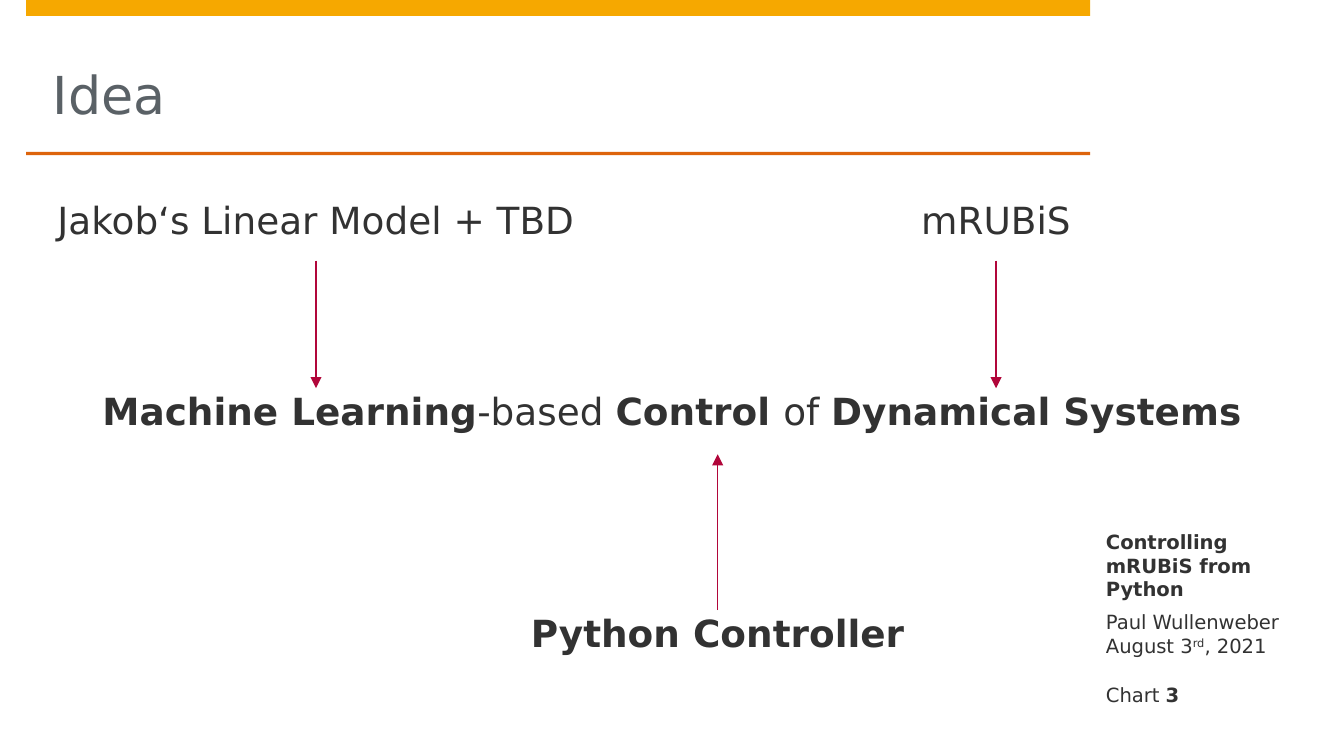
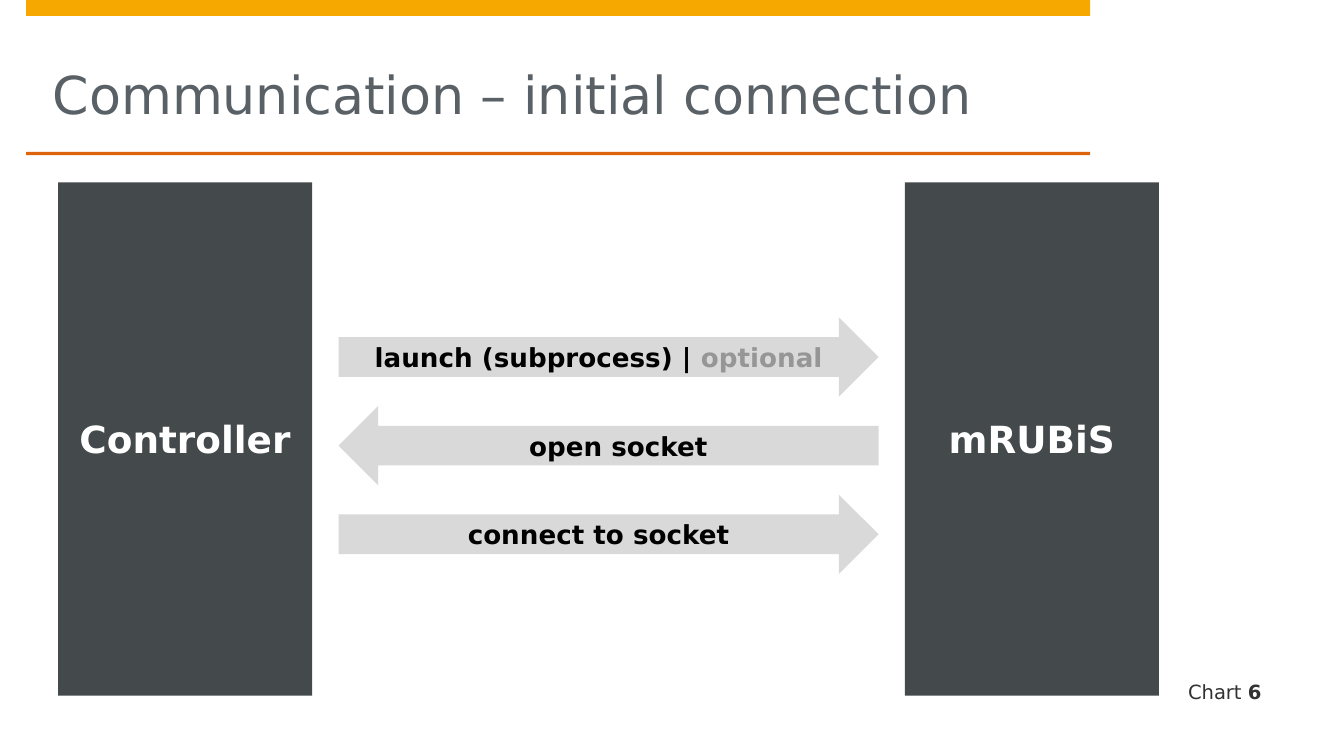
"""Build two slides on controlling mRUBiS from Python."""
from dataclasses import dataclass

import pptx
import pptx.dml.color
import pptx.enum.shapes
import pptx.enum.text
import pptx.oxml
import pptx.oxml.ns
import pptx.util

Pt = pptx.util.Pt
Shapes = pptx.enum.shapes.MSO_SHAPE
Anchor = pptx.enum.text.MSO_ANCHOR
Align = pptx.enum.text.PP_ALIGN

FONT = "DejaVu Sans"
AMBER, ORANGE, CRIMSON = "F6A800", "DD640C", "B1063A"
TITLE_GREY, INK, SLATE = "5A6166", "323232", "44494C"
SILVER, MUTED, BLACK, WHITE = "D9D9D9", "969696", "000000", "FFFFFF"
SIDE_WIDTH = 121.7
SIDE_INSETS = (8.5, 0, 0, 0)
SHAPE_INSETS = (8.5, 5.7, 8.5, 5.7)
NO_INSETS = (0, 0, 0, 0)


@dataclass(frozen=True)
class Piece:
    """A run of text with its emphasis."""
    text: str
    bold: bool = False
    color: str = INK
    raised: bool = False


@dataclass(frozen=True)
class Style:
    """The look of a block of text."""
    size: float
    insets: tuple = NO_INSETS
    anchor: Anchor = Anchor.TOP
    align: Align = Align.LEFT
    gap: float = 0
    wrap: bool = True


@dataclass(frozen=True)
class Area:
    """A rectangle in points."""
    left: float
    top: float
    width: float
    height: float

    def lengths(self) -> list:
        """Return the four lengths for a new shape."""
        return [Pt(value) for value in (self.left, self.top, self.width, self.height)]


TITLE = Style(28, (0, 0, 0, 14.2), Anchor.BOTTOM)
LABEL = Style(20, align=Align.CENTER, gap=3, wrap=False)
STATEMENT = Style(20, (0, 5.7, 0, 0), align=Align.CENTER, gap=3)
SIDE_TOP = Style(10.5, SIDE_INSETS)
SIDE_BOTTOM = Style(10.5, SIDE_INSETS, Anchor.BOTTOM)
COMPONENT = Style(20, SHAPE_INSETS, Anchor.MIDDLE, Align.CENTER, 3)
MESSAGE = Style(14, SHAPE_INSETS, Anchor.MIDDLE, Align.CENTER, 3)


def rgb(color: str) -> pptx.dml.color.RGBColor:
    """Turn a hex string into a colour."""
    return pptx.dml.color.RGBColor.from_string(color)


def write(frame, style: Style, *lines: list[Piece]) -> None:
    """Fill a text frame with one paragraph for each line."""
    frame.word_wrap = style.wrap
    frame.auto_size = pptx.enum.text.MSO_AUTO_SIZE.NONE
    frame.vertical_anchor = style.anchor
    (frame.margin_left, frame.margin_top,
     frame.margin_right, frame.margin_bottom) = map(Pt, style.insets)
    for index, line in enumerate(lines):
        para = frame.add_paragraph() if index else frame.paragraphs[0]
        para.alignment = style.align
        para.space_before = para.space_after = Pt(style.gap)
        for piece in line:
            span = para.add_run()
            span.text = piece.text
            span.font.name = FONT
            span.font.size = Pt(style.size)
            span.font.bold = piece.bold
            span.font.color.rgb = rgb(piece.color)
            if piece.raised:
                span.font._element.set("baseline", "30000")


def add_text(page, area: Area, style: Style, *lines: list[Piece]) -> None:
    """Add a text box."""
    write(page.shapes.add_textbox(*area.lengths()).text_frame, style, *lines)


def add_block(page, kind: Shapes, area: Area, color: str):
    """Add a plain filled shape."""
    block = page.shapes.add_shape(kind, *area.lengths())
    block.shadow.inherit = False
    block.fill.solid()
    block.fill.fore_color.rgb = rgb(color)
    block.line.fill.background()
    return block


def add_arrow(page, x: float, start: float, end: float) -> None:
    """Add a vertical arrow that points at its end."""
    arrow = page.shapes.add_connector(
        pptx.enum.shapes.MSO_CONNECTOR.STRAIGHT, Pt(x), Pt(start), Pt(x), Pt(end))
    arrow.line.color.rgb = rgb(CRIMSON)
    arrow.line.width = Pt(0.75)
    head = pptx.oxml.parse_xml(
        f'<a:tailEnd {pptx.oxml.ns.nsdecls("a")} type="triangle"/>')
    arrow.line._get_or_add_ln().append(head)
    arrow._element.spPr.append(
        pptx.oxml.parse_xml(f'<a:effectLst {pptx.oxml.ns.nsdecls("a")}/>'))


def add_page(deck, title: str, number: str, number_left: float, number_top: float):
    """Add a slide with its band, rule, title and chart number."""
    page = deck.slides.add_slide(deck.slide_layouts.get_by_name("Title Only"))
    add_block(page, Shapes.RECTANGLE, Area(14, 0, 570, 8.5), AMBER)
    add_block(page, Shapes.RECTANGLE, Area(14, 81.3, 570, 1.9), ORANGE)
    heading = page.shapes.title
    heading.left, heading.top, heading.width, heading.height = Area(
        28.3, 8.5, 541.4, 72.8).lengths()
    write(heading.text_frame, TITLE, [Piece(title, color=TITLE_GREY)])
    add_text(page, Area(number_left, number_top, SIDE_WIDTH, 14.2), SIDE_BOTTOM,
             [Piece("Chart "), Piece(number, True)])
    return page


def build_idea(deck) -> None:
    """Show the three inputs that lead to the main statement."""
    page = add_page(deck, "Idea", "3", 584, 364.4)
    add_text(page, Area(43.9, 202.3, 632.2, 41), STATEMENT,
             [Piece("Machine Learning", True), Piece("-based "),
              Piece("Control ", True), Piece("of "),
              Piece("Dynamical Systems", True)])
    inputs = [
        (Piece("Jakob‘s Linear Model + TBD"), 169.3, 105.8, 139.7, 208),
        (Piece("mRUBiS"), 533.6, 105.8, 139.7, 208),
        (Piece("Python Controller", True), 384.5, 326.9, 326.9, 243.4),
    ]
    for name, center, top, start, end in inputs:
        add_text(page, Area(center - 36, top, 72, 34), LABEL, [name])
        add_arrow(page, center, start, end)
    add_text(page, Area(584, 280.8, SIDE_WIDTH, 41), SIDE_BOTTOM,
             [Piece("Controlling mRUBiS from Python", True)])
    add_text(page, Area(584, 326.9, SIDE_WIDTH, 36.7), SIDE_TOP,
             [Piece("Paul Wullenweber")],
             [Piece("August 3"), Piece("rd", raised=True), Piece(", 2021")])


def build_connection(deck) -> None:
    """Show the messages that set up the connection."""
    page = add_page(deck, "Communication – initial connection", "6", 628, 362.9)
    for name, left in (("Controller", 31.1), ("mRUBiS", 484.7)):
        block = add_block(page, Shapes.RECTANGLE, Area(left, 97.7, 136.1, 275), SLATE)
        write(block.text_frame, COMPONENT, [Piece(name, True, WHITE)])
    messages = [
        (Shapes.RIGHT_ARROW, [Piece("launch (subprocess) | ", True, BLACK),
                              Piece("optional", True, MUTED)]),
        (Shapes.LEFT_ARROW, [Piece("open socket", True, BLACK)]),
        (Shapes.RIGHT_ARROW, [Piece("connect to socket", True, BLACK)]),
    ]
    for row, (kind, line) in enumerate(messages):
        block = add_block(page, kind, Area(181.4, 170 + 47.5 * row, 289.3, 42.5), SILVER)
        write(block.text_frame, MESSAGE, line)


def main() -> None:
    """Build and save the deck."""
    deck = pptx.Presentation()
    deck.slide_width, deck.slide_height = Pt(720), Pt(405)
    build_idea(deck)
    build_connection(deck)
    deck.save("out.pptx")


if __name__ == "__main__":
    main()
